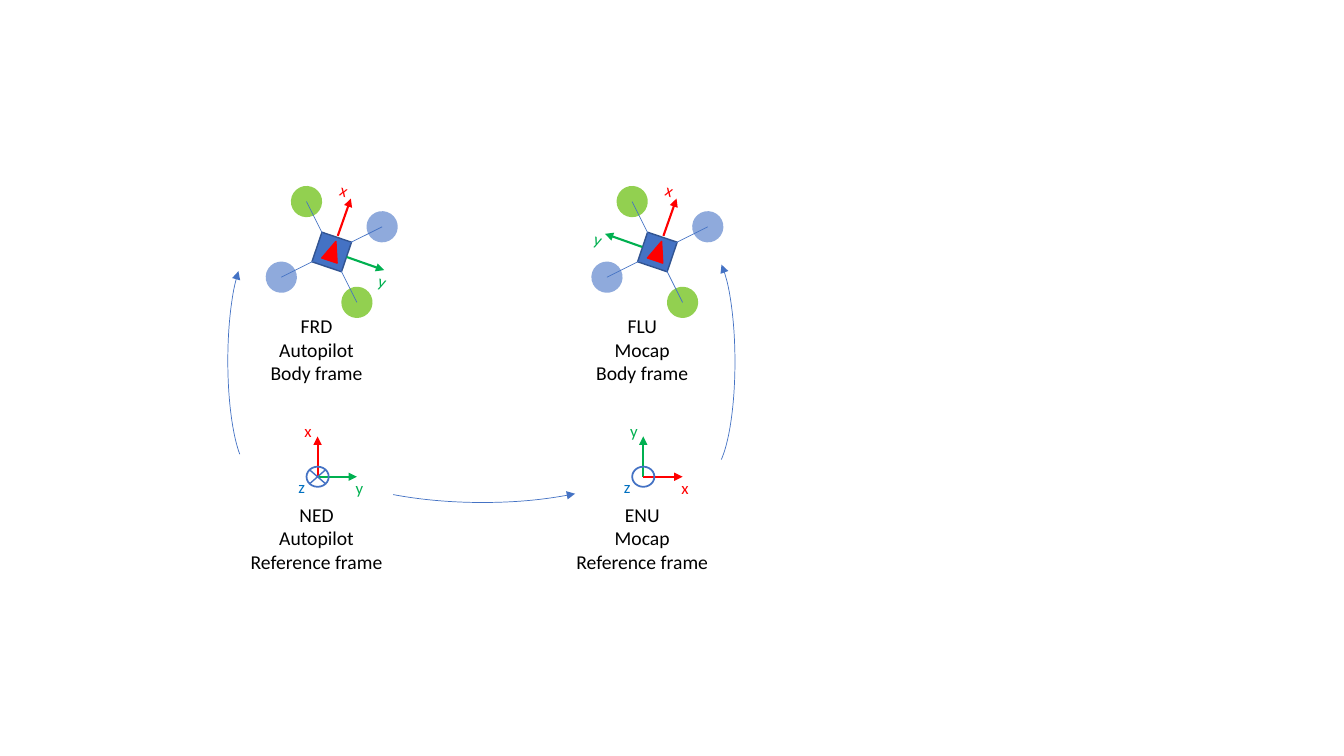
from dataclasses import dataclass

from lxml.etree import SubElement
from pptx import Presentation
from pptx.dml.color import RGBColor
from pptx.enum.shapes import MSO_CONNECTOR as Connector, MSO_SHAPE as Shape
from pptx.enum.text import MSO_AUTO_SIZE as AutoSize, PP_ALIGN as Align
from pptx.oxml.ns import qn
from pptx.util import Inches, Pt


@dataclass(frozen=True)
class Theme:
    font: str = "Calibri"
    caption_size: int = 14
    axis_size: int = 12
    text: str = "000000"
    red: str = "FF0000"
    green: str = "00B050"
    blue: str = "4472C4"
    dark_blue: str = "325491"
    z_blue: str = "0070C0"
    front_rotor: str = "92D050"
    side_rotor: str = "8FAADC"


THEME = Theme()
TILT = 18.7
ROTOR_TILT = 348.6


def add_text(shapes, text, center, size, *, points, color=THEME.text, wrap=True, rotation=0):
    width, height = size
    box = shapes.add_textbox(Inches(center[0] - width / 2), Inches(center[1] - height / 2),
                             Inches(width), Inches(height))
    box.rotation = rotation
    frame = box.text_frame
    frame.word_wrap = wrap
    frame.auto_size = AutoSize.SHAPE_TO_FIT_TEXT
    frame.text = text
    for paragraph in frame.paragraphs:
        paragraph.alignment = Align.CENTER
        paragraph.font.name = THEME.font
        paragraph.font.size = Pt(points)
        paragraph.font.color.rgb = RGBColor.from_string(color)


def add_axis_label(shapes, letter, center, color, rotation=0):
    add_text(shapes, letter, center, (0.22, 0.3), points=THEME.axis_size,
             color=color, wrap=False, rotation=rotation)


def add_caption(shapes, text, center):
    add_text(shapes, text, center, (1.57, 0.81), points=THEME.caption_size)


def set_line(shape, color, width):
    shape.line.color.rgb = RGBColor.from_string(color)
    shape.line.width = Pt(width)


def add_arrowhead(shape, end):
    SubElement(shape.line._get_or_add_ln(), qn(f"a:{end}"), type="triangle")


def add_line(shapes, start, finish, color, width, arrow=False):
    line = shapes.add_connector(Connector.STRAIGHT, *(Inches(value) for value in (*start, *finish)))
    set_line(line, color, width)
    if arrow:
        add_arrowhead(line, "tailEnd")
    SubElement(line._element.spPr, qn("a:effectLst"))


def add_figure(shapes, kind, center, size, fill=None, line=None, width=1, rotation=0):
    shape = shapes.add_shape(kind, Inches(center[0] - size[0] / 2), Inches(center[1] - size[1] / 2),
                             Inches(size[0]), Inches(size[1]))
    shape.shadow.inherit = False
    shape.rotation = rotation
    if fill:
        shape.fill.solid()
        shape.fill.fore_color.rgb = RGBColor.from_string(fill)
    else:
        shape.fill.background()
    if line:
        set_line(shape, line, width)
    else:
        shape.line.fill.background()
    return shape


def add_arc(shapes, center, size, angles, end):
    arc = add_figure(shapes, Shape.ARC, center, size, line=THEME.blue, width=0.5)
    for index, angle in enumerate(angles):
        arc.adjustments[index] = angle * 0.6
    add_arrowhead(arc, end)


def add_reference_frame(shapes, x, up, right, z_inward, caption):
    y = 4.73
    colors = {"x": THEME.red, "y": THEME.green}
    add_line(shapes, (x, y), (x, y - 0.4), colors[up], 1.5, arrow=True)
    add_line(shapes, (x, y), (x + 0.39, y), colors[right], 1.5, arrow=True)
    add_figure(shapes, Shape.OVAL, (x, y), (0.22, 0.2), line=THEME.blue, width=1.25)
    if z_inward:
        for slope in (1, -1):
            add_line(shapes, (x - 0.08 * slope, y - 0.07), (x + 0.08 * slope, y + 0.07), THEME.blue, 1)
    add_caption(shapes, caption, (x - 0.01, 5.34))
    add_axis_label(shapes, up, (x - 0.12, y - 0.46), colors[up])
    add_axis_label(shapes, right, (x + 0.39, y + 0.11), colors[right])
    add_axis_label(shapes, "z", (x - 0.18, y + 0.1), THEME.z_blue)


def add_body_frame(shapes, x, y_side, y_label, caption):
    drone = shapes.add_group_shape().shapes

    def at(dx, dy):
        return x + 0.14 + dx, 2.5 + dy

    add_figure(drone, Shape.RECTANGLE, at(0, 0), (0.31, 0.31), THEME.blue, THEME.dark_blue, rotation=TILT)
    rotors = [(-0.25, -0.5), (0.5, -0.25), (0.25, 0.5), (-0.5, 0.25)]
    for index, rotor in enumerate(rotors):
        color = THEME.side_rotor if index % 2 else THEME.front_rotor
        add_figure(drone, Shape.OVAL, at(*rotor), (0.31, 0.31), color, rotation=ROTOR_TILT)
    for start, finish in zip(rotors[:2], rotors[2:]):
        add_line(drone, at(*start), at(*finish), THEME.blue, 0.5)
    add_figure(drone, Shape.ISOSCELES_TRIANGLE, at(0.01, -0.01), (0.16, 0.2),
               THEME.red, THEME.red, rotation=TILT)
    add_line(drone, at(0.06, -0.16), at(0.19, -0.53), THEME.red, 1.5, arrow=True)
    add_axis_label(drone, "x", at(0.1, -0.62), THEME.red, TILT)
    add_line(drone, at(0.15 * y_side, 0.05 * y_side), at(0.52 * y_side, 0.18 * y_side),
             THEME.green, 1.5, arrow=True)
    add_axis_label(drone, "y", at(*y_label), THEME.green, TILT)
    add_caption(shapes, caption, (x - 0.01, 3.47))


def main():
    presentation = Presentation()
    presentation.slide_width = Inches(13.33)
    presentation.slide_height = Inches(7.5)
    shapes = presentation.slides.add_slide(presentation.slide_layouts[6]).shapes

    left, right = 3.15, 6.38
    add_reference_frame(shapes, left, "x", "y", True, "NED\nAutopilot\nReference frame")
    add_body_frame(shapes, left, 1, (0.48, 0.28), "FRD\nAutopilot\nBody frame")
    add_reference_frame(shapes, right, "y", "x", False, "ENU\nMocap\nReference frame")
    add_body_frame(shapes, right, -1, (-0.61, -0.13), "FLU\nMocap\nBody frame")

    add_arc(shapes, (7.04, 3.59), (0.5, 2.18), (276.88, 83.28), "headEnd")
    add_arc(shapes, (2.51, 3.58), (0.5, 2.18), (98.1, 260.78), "tailEnd")
    add_arc(shapes, (4.78, 4.33), (3.71, 1.31), (31.59, 146.77), "headEnd")

    presentation.save("out.pptx")


if __name__ == "__main__":
    main()
